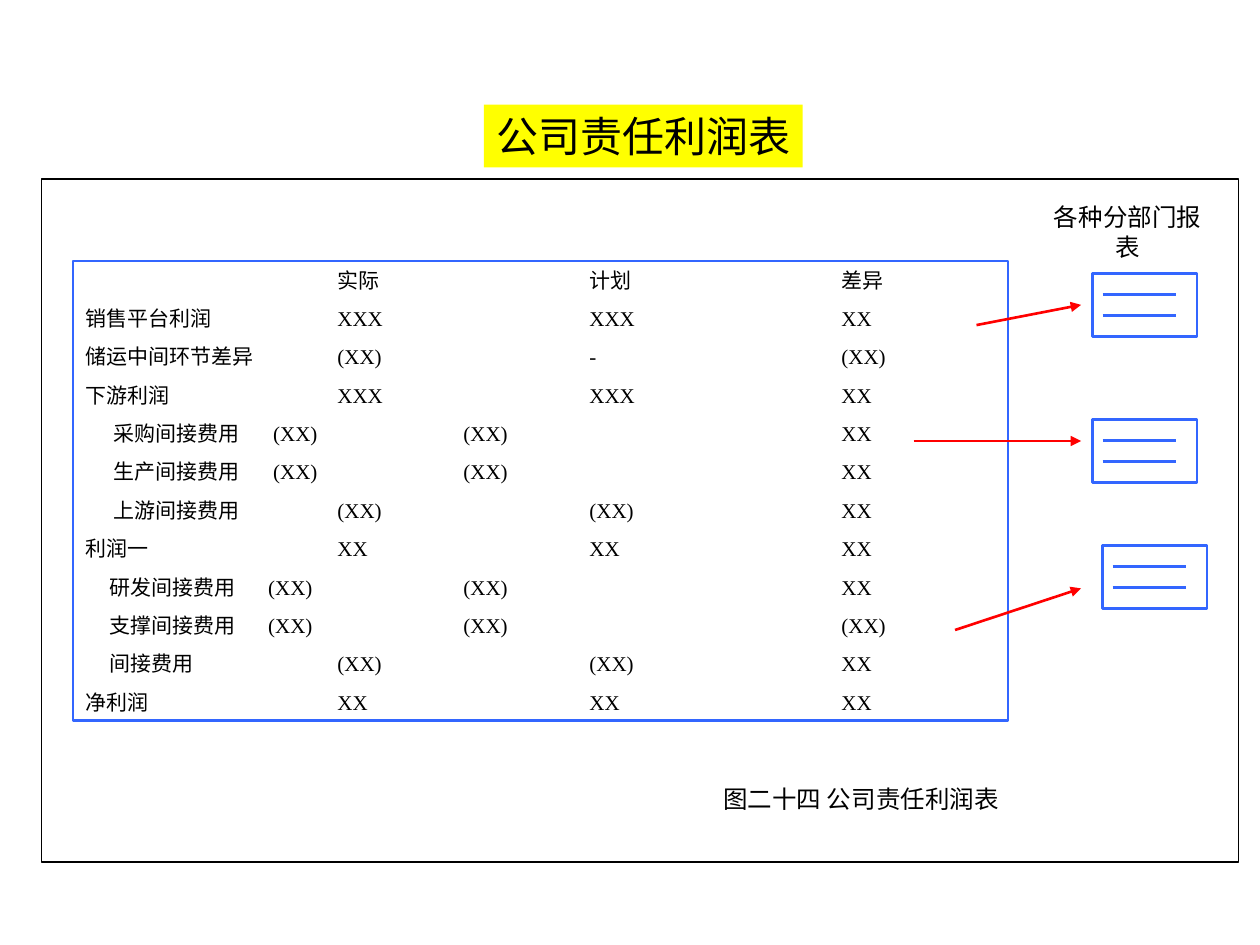
from pptx import Presentation
from pptx.dml.color import RGBColor
from pptx.enum import shapes, text
from pptx.oxml import parse_xml
from pptx.oxml.ns import nsdecls
from pptx.util import Inches, Pt

BLACK = RGBColor(0, 0, 0)
WHITE = RGBColor(255, 255, 255)
YELLOW = RGBColor(255, 255, 0)
BLUE = RGBColor(0x33, 0x66, 0xFF)
RED = RGBColor(255, 0, 0)
SERIF, SANS = "Times New Roman", "Noto Sans CJK SC"

# Content: tab stops in inches by row kind, then the rows of the statement
STOPS = {
    "head": (2, 4, 6),
    "main": (2, 4, 6),
    "up": (0.22, 2, 4, 6),
    "up part": (0.22, 1.49, 3, 6),
    "cost": (0.19, 2, 4, 6),
    "cost part": (0.19, 1.45, 3, 6),
}
ROWS = [
    ("head", "", "实际", "计划", "差异"),
    ("main", "销售平台利润", "XXX", "XXX", "XX"),
    ("main", "储运中间环节差异", "(XX)", "-", "(XX)"),
    ("main", "下游利润", "XXX", "XXX", "XX"),
    ("up part", "采购间接费用", "(XX)", "(XX)", "XX"),
    ("up part", "生产间接费用", "(XX)", "(XX)", "XX"),
    ("up", "上游间接费用", "(XX)", "(XX)", "XX"),
    ("main", "利润一", "XX", "XX", "XX"),
    ("cost part", "研发间接费用", "(XX)", "(XX)", "XX"),
    ("cost part", "支撑间接费用", "(XX)", "(XX)", "(XX)"),
    ("cost", "间接费用", "(XX)", "(XX)", "XX"),
    ("main", "净利润", "XX", "XX", "XX"),
]
REPORTS = [(8.67, 2.17), (8.67, 3.33), (8.75, 4.33)]
ARROWS = [
    (7.75, 2.58, 8.58, 2.42),
    (7.25, 3.5, 8.58, 3.5),
    (7.58, 5, 8.58, 4.67),
]

prs = Presentation()
prs.slide_width, prs.slide_height = Inches(10), Inches(7.5)
slide = prs.slides.add_slide(prs.slide_layouts[6])


def add_box(x, y, w, h, fill=None, line=None, width=1.5):
    box = slide.shapes.add_shape(
        shapes.MSO_SHAPE.RECTANGLE, Inches(x), Inches(y), Inches(w), Inches(h))
    box.shadow.inherit = False
    if fill is None:
        box.fill.background()
    else:
        box.fill.solid()
        box.fill.fore_color.rgb = fill
    if line is None:
        box.line.fill.background()
    else:
        box.line.color.rgb = line
        box.line.width = Pt(width)
    return box


def add_line(x1, y1, x2, y2, color, arrow=False):
    line = slide.shapes.add_connector(
        shapes.MSO_CONNECTOR.STRAIGHT,
        Inches(x1), Inches(y1), Inches(x2), Inches(y2))
    line.line.color.rgb = color
    line.line.width = Pt(1.5)
    if arrow:
        line.line._get_or_add_ln().append(
            parse_xml(f'<a:tailEnd {nsdecls("a")} type="triangle"/>'))
    line._element.spPr.append(parse_xml(f'<a:effectLst {nsdecls("a")}/>'))


def set_text(box, lines, size, font=SERIF, align=text.PP_ALIGN.CENTER,
             anchor=text.MSO_ANCHOR.MIDDLE, wrap=False, gap=0, stops=None):
    frame = box.text_frame
    frame.word_wrap = wrap
    frame.vertical_anchor = anchor
    for i, words in enumerate(lines):
        para = frame.add_paragraph() if i else frame.paragraphs[0]
        para.alignment = align
        para.space_before = Pt(gap if i else 0)
        if stops:
            tabs = "".join(f'<a:tab pos="{Inches(s)}" algn="l"/>'
                           for s in stops[i])
            para._p.get_or_add_pPr().append(
                parse_xml(f'<a:tabLst {nsdecls("a")}>{tabs}</a:tabLst>'))
        run = para.add_run()
        run.text = words
        run.font.size = Pt(size)
        run.font.name = font
        run.font.color.rgb = BLACK


def add_label(x, y, w, h, words, **form):
    box = slide.shapes.add_textbox(Inches(x), Inches(y), Inches(w), Inches(h))
    set_text(box, [words], 14, **form)


# Frame and profit statement; indented rows start with a tab
add_box(0.33, 1.42, 9.5, 5.42, WHITE, BLACK, 1)
lines = ["\t" * (len(STOPS[kind]) - 3) + "\t".join(cells)
         for kind, *cells in ROWS]
set_text(add_box(0.58, 2.07, 7.42, 3.65, line=BLUE), lines, 12,
         align=text.PP_ALIGN.LEFT, wrap=True, gap=7.5,
         stops=[STOPS[row[0]] for row in ROWS])

# Title
set_text(add_box(3.84, 0.83, 2.53, 0.5, YELLOW), ["公司责任利润表"], 24, font=SANS)

# Department reports, each with two ruled lines
for x, y in REPORTS:
    add_box(x, y, 0.83, 0.5, WHITE, BLUE)
    for k in (1, 2):
        rule = y + k * 0.5 / 3
        add_line(x + 0.08, rule, x + 0.66, rule, BLUE)

for ends in ARROWS:
    add_line(*ends, RED, arrow=True)

# Labels
add_label(8.17, 1.67, 1.56, 0.34, "各种分部门报表")
add_label(5.17, 6.17, 3.33, 0.34, "图二十四 公司责任利润表",
          anchor=text.MSO_ANCHOR.TOP, wrap=True)

prs.save("out.pptx")
